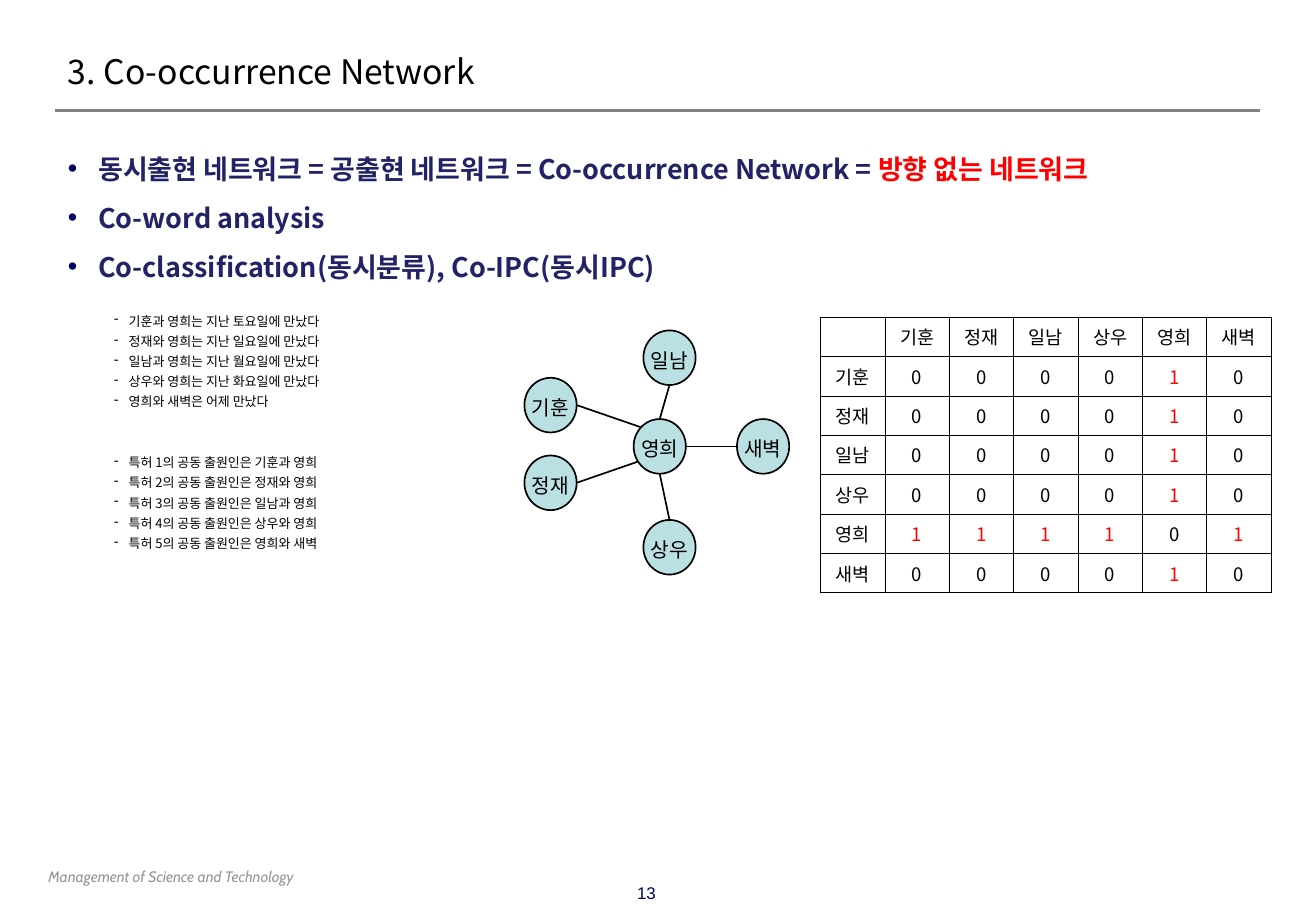
from dataclasses import dataclass

from lxml import etree
from pptx import Presentation
from pptx.dml.color import RGBColor
from pptx.enum.shapes import MSO_CONNECTOR, MSO_SHAPE
from pptx.enum.text import MSO_ANCHOR, MSO_AUTO_SIZE, PP_ALIGN
from pptx.oxml.ns import qn
from pptx.util import Inches, Pt

LEFT, CENTER = PP_ALIGN.LEFT, PP_ALIGN.CENTER
TOP, MIDDLE = MSO_ANCHOR.TOP, MSO_ANCHOR.MIDDLE
NO_AUTOFIT = MSO_AUTO_SIZE.NONE
ELLIPSE = MSO_SHAPE.OVAL
STRAIGHT = MSO_CONNECTOR.STRAIGHT
SLIDE_WIDTH, SLIDE_HEIGHT = Inches(10.84), Inches(7.5)


@dataclass(frozen=True)
class Theme:
    sans: str = "Noto Sans CJK KR"
    footer_font: str = "Cabin"
    plain: str = "Arial"
    black: str = "000000"
    navy: str = "222268"
    marker: str = "000066"
    red: str = "FF0000"
    rule: str = "808080"
    footer: str = "969696"
    node: str = "BBE0E3"
    title_size: float = 20
    topic_size: float = 16
    node_size: float = 12
    table_size: float = 11
    page_size: float = 10
    footer_size: float = 9
    example_size: float = 7.7


THEME = Theme()

# Content
TOPICS = [
    "동시출현 네트워크 = 공출현 네트워크 = Co-occurrence Network = ",
    "Co-word analysis",
    "Co-classification(동시분류), Co-IPC(동시IPC)",
]
ACCENT = "방향 없는 네트워크"
MEETINGS = [
    "기훈과 영희는 지난 토요일에 만났다",
    "정재와 영희는 지난 일요일에 만났다",
    "일남과 영희는 지난 월요일에 만났다",
    "상우와 영희는 지난 화요일에 만났다",
    "영희와 새벽은 어제 만났다",
]
APPLICANTS = ["기훈과 영희", "정재와 영희", "일남과 영희", "상우와 영희", "영희와 새벽"]
PATENTS = [f"특허 {number}의 공동 출원인은 {pair}"
           for number, pair in enumerate(APPLICANTS, 1)]

# Network: left and top of each node in percent of the slide
HUB = "영희"
NODE_WIDTH, NODE_HEIGHT = 3.97, 6
NODES = {
    "기훈": (39.85, 41.47),
    "정재": (39.85, 50),
    "일남": (48.89, 36.27),
    "상우": (48.89, 57.07),
    HUB: (48.15, 46),
    "새벽": (56, 46),
}
# Edge ends as shares of the node's box: (on the person, on the hub)
EDGES = {
    "일남": ((0.5, 1), (0.5, 0)),
    "기훈": ((1, 0.5), (0.14, 0.15)),
    "정재": ((1, 0.5), (0.08, 0.78)),
    "상우": ((0.5, 0), (0.5, 1)),
    "새벽": ((0, 0.5), (1, 0.5)),
}


def across(percent):
    return round(SLIDE_WIDTH * percent / 100)


def down(percent):
    return round(SLIDE_HEIGHT * percent / 100)


def box(left, top, width, height):
    return across(left), down(top), across(width), down(height)


def color(value):
    return RGBColor.from_string(value)


def format_run(run, font, size, fill, bold=False, italic=False):
    run.font.name = font
    run.font.size = Pt(size)
    run.font.bold = bold
    run.font.italic = italic
    run.font.color.rgb = color(fill)
    east_asian = etree.SubElement(run.font._element, qn("a:ea"))
    east_asian.set("typeface", THEME.sans)


def set_frame(frame, horizontal=0.1, vertical=0.05, anchor=TOP, wrap=True):
    frame.margin_left = frame.margin_right = Inches(horizontal)
    frame.margin_top = frame.margin_bottom = Inches(vertical)
    frame.vertical_anchor = anchor
    frame.auto_size = NO_AUTOFIT
    frame.word_wrap = wrap


def set_bullet(paragraph, symbol, fill, indent, hanging):
    properties = paragraph._p.get_or_add_pPr()
    properties.set("marL", str(Inches(indent)))
    properties.set("indent", str(-Inches(hanging)))
    bullet_color = etree.SubElement(properties, qn("a:buClr"))
    etree.SubElement(bullet_color, qn("a:srgbClr")).set("val", fill)
    etree.SubElement(properties, qn("a:buChar")).set("char", symbol)


def add_list(shape, items, symbol, marker, indent, hanging, pitch, style):
    frame = shape.text_frame
    set_frame(frame, 0.11)
    frame.text = "\n".join(items)
    for paragraph in frame.paragraphs:
        set_bullet(paragraph, symbol, marker, indent, hanging)
        paragraph.line_spacing = Pt(pitch)
        paragraph.space_before = Pt(0)
        format_run(paragraph.runs[0], **style)
    return frame.paragraphs


def add_label(slide, text, place, align, **style):
    frame = slide.shapes.add_textbox(*place).text_frame
    set_frame(frame)
    frame.text = text
    frame.paragraphs[0].alignment = align
    format_run(frame.paragraphs[0].runs[0], **style)


def add_line(slide, start, end, fill, width):
    line = slide.shapes.add_connector(STRAIGHT, across(start[0]), down(start[1]),
                                      across(end[0]), down(end[1]))
    line.line.color.rgb = color(fill)
    line.line.width = Pt(width)
    etree.SubElement(line._element.spPr, qn("a:effectLst"))


def add_title(slide):
    title = slide.shapes.title
    title.left, title.top, title.width, title.height = box(4.15, 4.53, 74.08, 6.53)
    set_frame(title.text_frame, 0.11, anchor=MIDDLE)
    title.text_frame.text = "3. Co-occurrence Network"
    paragraph = title.text_frame.paragraphs[0]
    paragraph.alignment = LEFT
    paragraph.line_spacing = Pt(24)
    format_run(paragraph.runs[0], THEME.sans, THEME.title_size, THEME.black)
    add_line(slide, (4.15, 12.13), (95.76, 12.13), THEME.rule, 2)


def add_topics(slide):
    body = slide.placeholders[1]
    body.left, body.top, body.width, body.height = box(4.15, 14.27, 91.5, 77.6)
    style = dict(font=THEME.sans, size=THEME.topic_size, fill=THEME.navy, bold=True)
    paragraphs = add_list(body, TOPICS, "•", THEME.marker, 0.25, 0.25, 29, style)
    accent = paragraphs[0].add_run()
    accent.text = ACCENT
    format_run(accent, **{**style, "fill": THEME.red})


def add_examples(slide):
    shape = slide.shapes.add_textbox(*box(4.15, 33.2, 91.5, 32))
    style = dict(font=THEME.sans, size=THEME.example_size, fill=THEME.black)
    paragraphs = add_list(shape, MEETINGS + PATENTS, "-", THEME.black,
                          0.5, 0.12, 12, style)
    paragraphs[len(MEETINGS)].space_before = Pt(24)


def add_node(slide, name, left, top):
    node = slide.shapes.add_shape(ELLIPSE, *box(left, top, NODE_WIDTH, NODE_HEIGHT))
    node.shadow.inherit = False
    node.fill.solid()
    node.fill.fore_color.rgb = color(THEME.node)
    node.line.color.rgb = color(THEME.black)
    node.line.width = Pt(1)
    set_frame(node.text_frame, 0, 0, MIDDLE, wrap=False)
    node.text_frame.margin_top = Inches(0.04)
    node.text_frame.text = name
    paragraph = node.text_frame.paragraphs[0]
    paragraph.alignment = CENTER
    format_run(paragraph.runs[0], THEME.plain, THEME.node_size, THEME.black)


def node_point(name, share):
    left, top = NODES[name]
    return left + NODE_WIDTH * share[0], top + NODE_HEIGHT * share[1]


def add_network(slide):
    for name, (left, top) in NODES.items():
        add_node(slide, name, left, top)
    for name, (person_end, hub_end) in EDGES.items():
        add_line(slide, node_point(name, person_end), node_point(HUB, hub_end),
                 THEME.black, 1)


def format_cell(cell, text):
    cell.fill.background()
    cell.vertical_anchor = MIDDLE
    cell.margin_top = cell.margin_bottom = 0
    for side in ("a:lnL", "a:lnR", "a:lnT", "a:lnB"):
        border = etree.Element(qn(side), w=str(Pt(0.28)))
        fill = etree.SubElement(border, qn("a:solidFill"))
        etree.SubElement(fill, qn("a:srgbClr")).set("val", THEME.black)
        cell._tc.tcPr.insert(len(cell._tc.tcPr) - 1, border)
    cell.text = text
    paragraph = cell.text_frame.paragraphs[0]
    paragraph.alignment = CENTER
    for run in paragraph.runs:
        format_run(run, THEME.sans, THEME.table_size,
                   THEME.red if text == "1" else THEME.black)


def add_matrix(slide):
    # Two people are linked when exactly one of them is the hub
    people = list(NODES)
    rows = [["", *people]]
    rows += [[person, *(str(int((person == HUB) != (other == HUB))) for other in people)]
             for person in people]
    place = box(62.36, 34.8, 34.23, 30.27)
    table = slide.shapes.add_table(len(rows), len(rows), *place).table
    table.first_row = table.horz_banding = False
    for row_index, row in enumerate(rows):
        for column_index, text in enumerate(row):
            format_cell(table.cell(row_index, column_index), text)


def main():
    presentation = Presentation()
    presentation.slide_width, presentation.slide_height = SLIDE_WIDTH, SLIDE_HEIGHT
    slide = presentation.slides.add_slide(presentation.slide_layouts[1])
    add_title(slide)
    add_topics(slide)
    add_examples(slide)
    add_network(slide)
    add_matrix(slide)
    # Footer and page number
    add_label(slide, "Management of Science and Technology", box(2.77, 94.53, 36.35, 3.33),
              LEFT, font=THEME.footer_font, size=THEME.footer_size,
              fill=THEME.footer, italic=True)
    add_label(slide, "13", box(46.31, 96.27, 5.63, 3.6), CENTER,
              font=THEME.plain, size=THEME.page_size, fill=THEME.marker)
    presentation.save("out.pptx")


if __name__ == "__main__":
    main()
